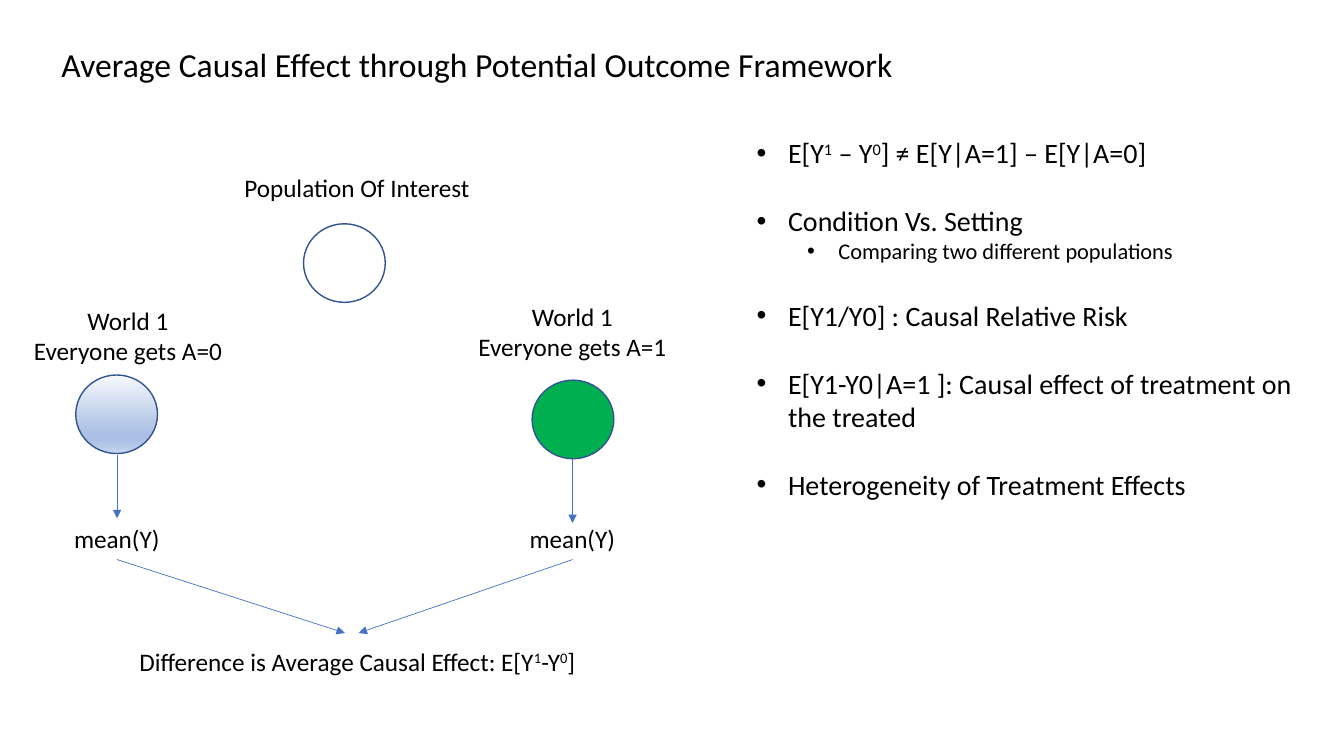
"""Build a slide on the average causal effect in the potential outcome framework."""
from copy import deepcopy

from lxml import etree
from pptx import Presentation
from pptx.dml.color import RGBColor
from pptx.enum.shapes import MSO_CONNECTOR, MSO_SHAPE
from pptx.enum.text import MSO_ANCHOR, PP_ALIGN
from pptx.oxml.ns import qn
from pptx.util import Cm, Pt

LEFT, CENTER = PP_ALIGN.LEFT, PP_ALIGN.CENTER
TOP, MIDDLE = MSO_ANCHOR.TOP, MSO_ANCHOR.MIDDLE
OVAL, STRAIGHT = MSO_SHAPE.OVAL, MSO_CONNECTOR.STRAIGHT

COLORS = {"text": "000000", "edge": "325491", "arrow": "4472C4", "green": "00B050"}
SHADES = [(0, "F6F8FC"), (74, "ABC0E4"), (83, "ABC0E4"), (100, "C7D5ED")]
FONT = "Calibri"
GAP = 24.4

LABELS = [
    (4.6, 4.22, ["Population Of Interest"]),
    (-1.17, 7.57, ["World 1", "Everyone gets A=0"]),
    (10.03, 7.47, ["World 1", "Everyone gets A=1"]),
    (-1.45, 13.06, ["mean(Y)"]),
    (10.03, 13.06, ["mean(Y)"]),
]
ARROWS = [
    (2.95, 11.46, 2.95, 13.06),
    (14.43, 11.56, 14.43, 13.18),
    (2.95, 14.1, 8.69, 15.95),
    (14.43, 14.1, 9.04, 15.95),
]
POINTS = [
    (0, "E[Y^1 – Y^0] ≠ E[Y|A=1] – E[Y|A=0]"),
    (0, "Condition Vs. Setting"),
    (1, "Comparing two different populations"),
    (0, "E[Y1/Y0] : Causal Relative Risk"),
    (0, "E[Y1-Y0|A=1 ]: Causal effect of treatment on the treated"),
    (0, "Heterogeneity of Treatment Effects"),
]


def add_run(para, text, size, raised=False):
    """Add a run, raised as a superscript if asked."""
    run = para.add_run()
    run.text = text
    run.font.name = FONT
    run.font.size = Pt(size)
    run.font.color.rgb = RGBColor.from_string(COLORS["text"])
    if raised:
        run.font._element.set("baseline", "30000")


def write(para, text, size=18, align=LEFT, spacing=None, before=0):
    """Fill a paragraph; a caret raises the character after it."""
    para.alignment = align
    para.space_before = Pt(before)
    if spacing:
        para.line_spacing = spacing
    first, *rest = text.split("^")
    add_run(para, first, size)
    for part in rest:
        add_run(para, part[0], size, raised=True)
        if part[1:]:
            add_run(para, part[1:], size)


def add_box(slide, x, y, w, h, anchor=TOP):
    """Add an empty wrapping text box and return its frame."""
    frame = slide.shapes.add_textbox(Cm(x), Cm(y), Cm(w), Cm(h)).text_frame
    frame.word_wrap = True
    frame.vertical_anchor = anchor
    return frame


def next_para(frame, index):
    """Return the first paragraph or a new one."""
    return frame.add_paragraph() if index else frame.paragraphs[0]


def add_label(slide, x, y, lines, w=8.79):
    """Add a centred label of one or more lines."""
    frame = add_box(slide, x, y, w, 0.24 + 0.78 * len(lines))
    for i, line in enumerate(lines):
        write(next_para(frame, i), line, align=CENTER)


def add_circle(slide, x, y):
    """Add an outlined circle with no fill."""
    shape = slide.shapes.add_shape(OVAL, Cm(x), Cm(y), Cm(2.06), Cm(1.98))
    shape.shadow.inherit = False
    shape.fill.background()
    shape.line.color.rgb = RGBColor.from_string(COLORS["edge"])
    shape.line.width = Pt(1)
    return shape


def shade(shape):
    """Fill a shape with the blue gradient from top to bottom."""
    shape.fill.gradient()
    shape.fill.gradient_angle = 270
    stops = shape._element.spPr.find(qn("a:gradFill")).find(qn("a:gsLst"))
    stops.remove(stops[1])
    while len(stops) < len(SHADES):
        stops.append(deepcopy(stops[0]))
    for stop, (place, color) in zip(shape.fill.gradient_stops, SHADES):
        stop.position = place / 100
        stop.color.rgb = RGBColor.from_string(color)


def add_arrow(slide, *ends):
    """Add a thin arrow between two points."""
    arrow = slide.shapes.add_connector(STRAIGHT, *map(Cm, ends))
    arrow.line.color.rgb = RGBColor.from_string(COLORS["arrow"])
    arrow.line.width = Pt(0.5)
    props = arrow._element.spPr
    etree.SubElement(props.find(qn("a:ln")), qn("a:tailEnd"), type="triangle")
    etree.SubElement(props, qn("a:effectLst"))


def add_bullet(para, level):
    """Give a paragraph a bullet and a hanging indent."""
    props = para._p.get_or_add_pPr()
    props.set("lvl", str(level))
    props.set("marL", str(Cm(0.79 + 1.27 * level)))
    props.set("indent", str(Cm(-0.79)))
    etree.SubElement(props, qn("a:buFont"), typeface="Arial")
    etree.SubElement(props, qn("a:buChar"), char="•")


def add_points(slide):
    """Add the bulleted list on the right."""
    frame = add_box(slide, 18.82, 3.3, 15.04, 12.22)
    for i, (level, text) in enumerate(POINTS):
        para = next_para(frame, i)
        write(para, text, size=16 if level else 20,
              before=GAP if i and not level else 0)
        add_bullet(para, level)


def main():
    """Build and save the slide."""
    deck = Presentation()
    deck.slide_width, deck.slide_height = Cm(33.87), Cm(19.05)
    slide = deck.slides.add_slide(deck.slide_layouts[6])
    title = add_box(slide, 1.3, 1.07, 31.67, 1.22, anchor=MIDDLE)
    write(title.paragraphs[0],
          "Average Causal Effect through Potential Outcome Framework",
          size=24, spacing=0.9)
    add_circle(slide, 7.65, 5.64)
    shade(add_circle(slide, 1.91, 9.45))
    green = add_circle(slide, 13.41, 9.58)
    green.fill.solid()
    green.fill.fore_color.rgb = RGBColor.from_string(COLORS["green"])
    for label in LABELS:
        add_label(slide, *label)
    for ends in ARROWS:
        add_arrow(slide, *ends)
    add_label(slide, 0.28, 16.15,
              ["Difference is Average Causal Effect: E[Y^1-Y^0]"], w=17.45)
    add_points(slide)
    deck.save("out.pptx")


if __name__ == "__main__":
    main()
